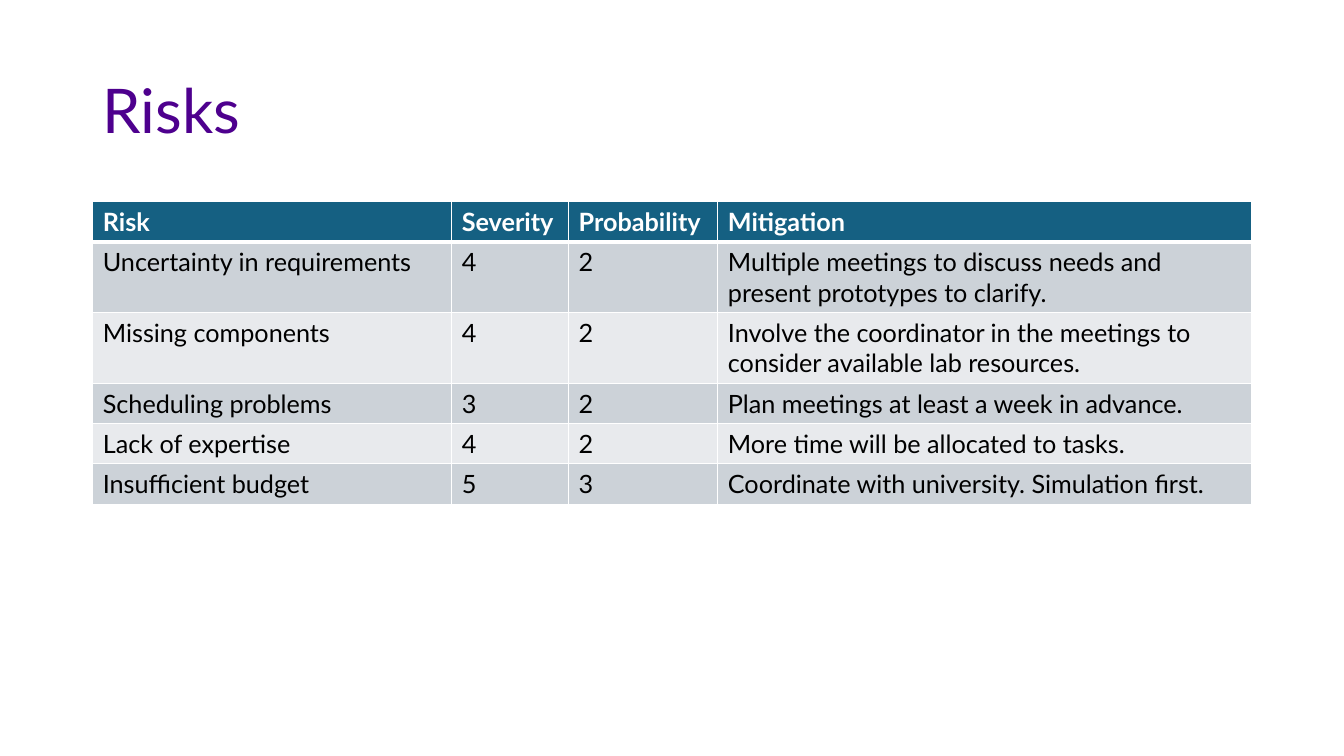
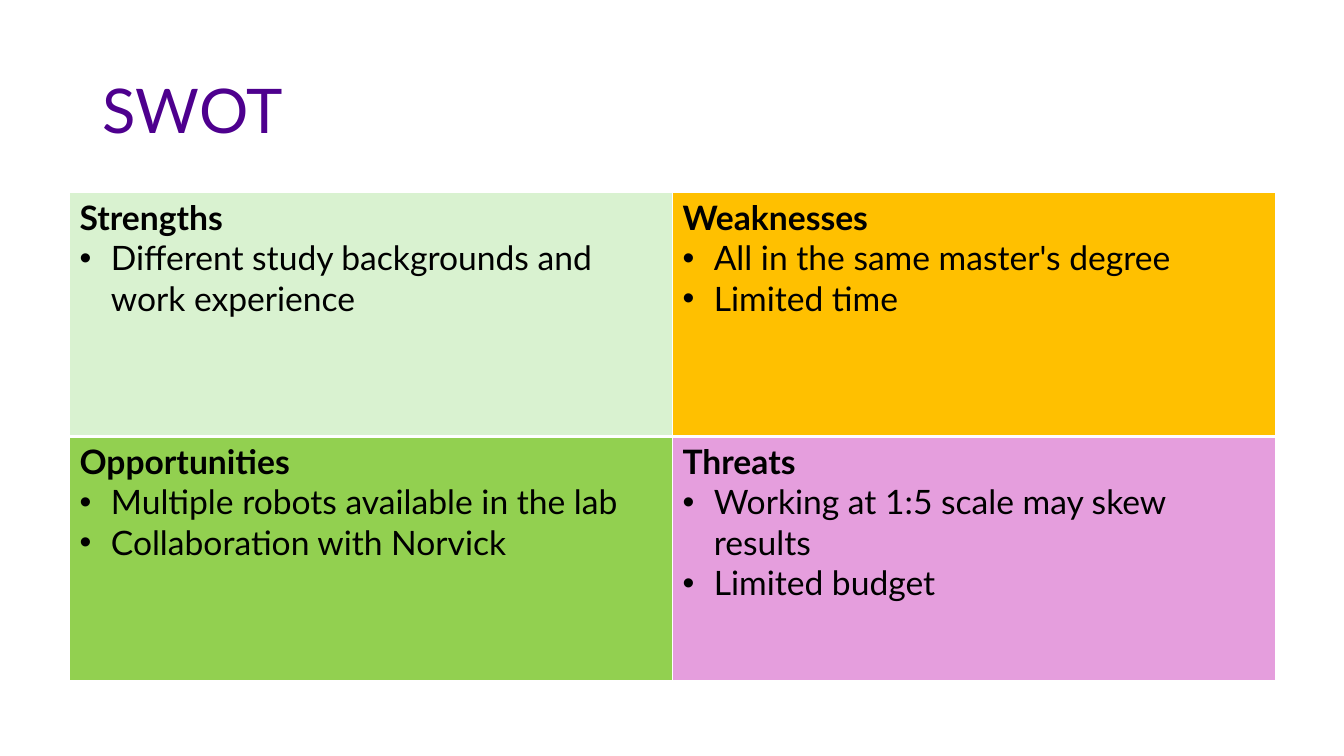
import pptx
import pptx.util
import pptx.dml.color
import pptx.enum.text
import pptx.oxml.ns
from dataclasses import dataclass
from lxml import etree

Inches = pptx.util.Inches
Pt = pptx.util.Pt
qn = pptx.oxml.ns.qn


@dataclass(frozen=True)
class Theme:
    font: str = "Lato"
    title: str = "4E008E"
    head: str = "156082"
    bands: tuple = ("CCD2D8", "E8EAED")
    white: str = "FFFFFF"
    black: str = "000000"
    mint: str = "D9F2D0"
    gold: str = "FFC000"
    green: str = "92D050"
    pink: str = "E59EDD"
    title_size: int = 44
    table_size: int = 18
    swot_size: int = 24
    thin: int = 1
    thick: int = 3


THEME = Theme()
TITLE_BOX = (0.92, 0.4, 11.5, 1.45)

RISK_COLS = (3.56, 1.16, 1.48, 5.29)
RISK_ROWS = (0.4, 0.7, 0.7, 0.4, 0.4, 0.4)
RISKS = (
    ("Risk", "Severity", "Probability", "Mitigation"),
    ("Uncertainty in requirements", "4", "2",
     "Multiple meetings to discuss needs and present prototypes to clarify."),
    ("Missing components", "4", "2",
     "Involve the coordinator in the meetings to consider available lab resources."),
    ("Scheduling problems", "3", "2", "Plan meetings at least a week in advance."),
    ("Lack of expertise", "4", "2", "More time will be allocated to tasks."),
    ("Insufficient budget", "5", "3", "Coordinate with university. Simulation first."),
)

SWOT = (
    (("Strengths", THEME.mint, ("Different study backgrounds and work experience",)),
     ("Weaknesses", THEME.gold, ("All in the same master's degree", "Limited time"))),
    (("Opportunities", THEME.green,
      ("Multiple robots available in the lab", "Collaboration with Norvick")),
     ("Threats", THEME.pink,
      ("Working at 1:5 scale may skew results", "Limited budget"))),
)


def rgb(color):
    return pptx.dml.color.RGBColor.from_string(color)


def add_run(para, text, size, color, bold=False):
    run = para.add_run()
    run.text = text
    run.font.name = THEME.font
    run.font.size = Pt(size)
    run.font.bold = bold
    run.font.color.rgb = rgb(color)


def add_title(slide, box, text):
    frame = slide.shapes.add_textbox(*map(Inches, box)).text_frame
    frame.word_wrap = True
    frame.vertical_anchor = pptx.enum.text.MSO_ANCHOR.MIDDLE
    para = frame.paragraphs[0]
    para.line_spacing = 0.9
    add_run(para, text, THEME.title_size, THEME.title)


def add_grid(slide, left, top, cols, rows):
    """Add an unstyled table with the given column widths and row heights."""
    table = slide.shapes.add_table(
        len(rows), len(cols), Inches(left), Inches(top),
        Inches(sum(cols)), Inches(sum(rows))).table
    table.first_row = table.horz_banding = False
    for col, width in zip(table.columns, cols):
        col.width = Inches(width)
    for row, height in zip(table.rows, rows):
        row.height = Inches(height)
    return table


def paint(cell, color, row):
    """Fill a cell and rule it in white, thicker below the first row."""
    cell.fill.solid()
    cell.fill.fore_color.rgb = rgb(color)
    widths = {
        "a:lnL": THEME.thin,
        "a:lnR": THEME.thin,
        "a:lnT": THEME.thick if row == 1 else THEME.thin,
        "a:lnB": THEME.thick if row == 0 else THEME.thin,
    }
    props = cell._tc.get_or_add_tcPr()
    for spot, (tag, width) in enumerate(widths.items()):
        line = etree.Element(qn(tag), w=str(Pt(width)))
        fill = etree.SubElement(line, qn("a:solidFill"))
        etree.SubElement(fill, qn("a:srgbClr"), val=THEME.white)
        props.insert(spot, line)


def add_bullet(frame, text):
    para = frame.add_paragraph()
    props = para._p.get_or_add_pPr()
    indent = Inches(0.31)
    props.set("marL", str(indent))
    props.set("indent", str(-indent))
    etree.SubElement(props, qn("a:buFont"), typeface="Arial")
    etree.SubElement(props, qn("a:buChar"), char="•")
    add_run(para, text, THEME.swot_size, THEME.black)


def add_risks(slide, left, top):
    table = add_grid(slide, left, top, RISK_COLS, RISK_ROWS)
    for r, texts in enumerate(RISKS):
        head = r == 0
        fill = THEME.head if head else THEME.bands[(r - 1) % 2]
        ink = THEME.white if head else THEME.black
        for c, text in enumerate(texts):
            cell = table.cell(r, c)
            paint(cell, fill, r)
            add_run(cell.text_frame.paragraphs[0], text, THEME.table_size, ink, head)


def add_swot(slide, left, top, width, height):
    table = add_grid(slide, left, top, (width / 2,) * 2, (height / 2,) * 2)
    for r, line in enumerate(SWOT):
        for c, (name, color, points) in enumerate(line):
            cell = table.cell(r, c)
            paint(cell, color, r)
            frame = cell.text_frame
            add_run(frame.paragraphs[0], name, THEME.swot_size, THEME.black, True)
            for point in points:
                add_bullet(frame, point)


def add_slide(deck, title):
    slide = deck.slides.add_slide(deck.slide_layouts[6])
    add_title(slide, TITLE_BOX, title)
    return slide


def main():
    deck = pptx.Presentation()
    deck.slide_width = Inches(13.33)
    deck.slide_height = Inches(7.5)
    add_risks(add_slide(deck, "Risks"), 0.92, 2)
    add_swot(add_slide(deck, "SWOT"), 0.69, 1.91, 11.96, 4.84)
    deck.save("out.pptx")


if __name__ == "__main__":
    main()
